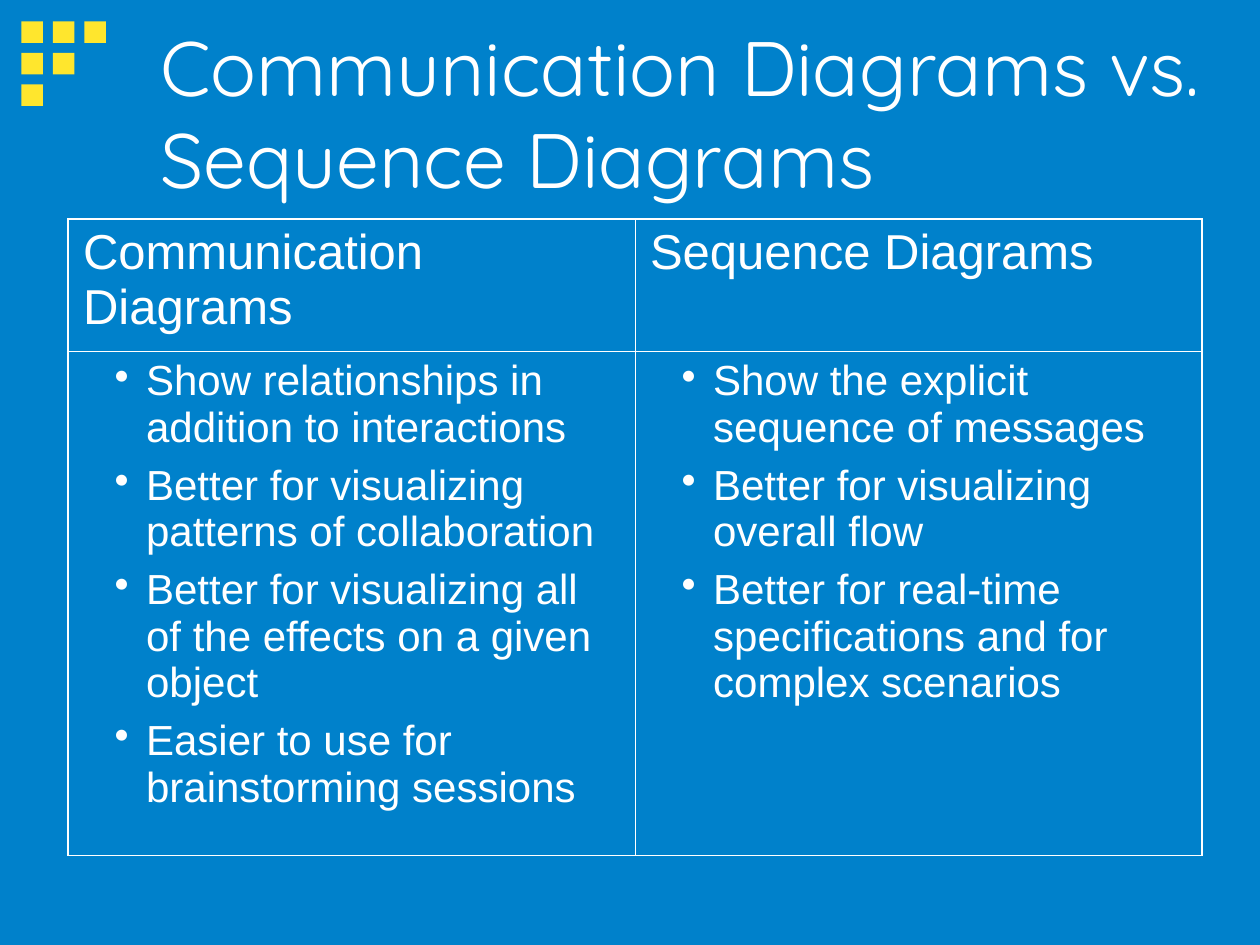
from lxml import etree
from pptx import Presentation
from pptx.dml.color import RGBColor
from pptx.enum.shapes import MSO_SHAPE
from pptx.enum.text import MSO_ANCHOR, MSO_AUTO_SIZE, PP_ALIGN
from pptx.oxml.ns import qn
from pptx.util import Inches, Pt

RECT = MSO_SHAPE.RECTANGLE
MIDDLE = MSO_ANCHOR.MIDDLE
NO_FIT = MSO_AUTO_SIZE.NONE
LEFT = PP_ALIGN.LEFT
BLUE, YELLOW, WHITE, GRAY = "0081CB", "FFE62D", "FFFFFF", "808080"
THICK, THIN = 1.08, 0.45


def color(code):
    return RGBColor.from_string(code)


def add(parent, tag, **attrs):
    """Append an XML child with the given attributes."""
    return etree.SubElement(parent, qn(tag), {k: str(v) for k, v in attrs.items()})


prs = Presentation()
prs.slide_width, prs.slide_height = Inches(10), Inches(7.5)
slide = prs.slides.add_slide(prs.slide_layouts[5])
slide.background.fill.solid()
slide.background.fill.fore_color.rgb = color(BLUE)

# Corner squares, one fewer in each row
for row in range(3):
    for col in range(3 - row):
        square = slide.shapes.add_shape(
            RECT, Inches(0.17 + 0.25 * col), Inches(0.17 + 0.25 * row),
            Inches(0.17), Inches(0.17))
        square.shadow.inherit = False
        square.fill.solid()
        square.fill.fore_color.rgb = color(YELLOW)
        square.line.fill.background()

# Title with a small text shadow
title = slide.shapes.title
title.left, title.top = Inches(1.17), Inches(0.26)
title.width, title.height = Inches(8.5), Inches(1.25)
frame = title.text_frame
frame.text = "Communication Diagrams vs. Sequence Diagrams"
frame.word_wrap = True
frame.auto_size = NO_FIT
frame.vertical_anchor = MIDDLE
frame.paragraphs[0].alignment = LEFT
run = frame.paragraphs[0].runs[0]
run.font.size = Pt(44)
run.font.color.rgb = color(WHITE)
effects = add(run.font._element, "a:effectLst")
shadow = add(effects, "a:outerShdw", dist=Inches(0.03), dir=2700000)
add(shadow, "a:srgbClr", val=GRAY)
run.font.name = "Quicksand"

# Comparison table
heads = ["Communication Diagrams", "Sequence Diagrams"]
points = [
    ["Show relationships in addition to interactions",
     "Better for visualizing patterns of collaboration",
     "Better for visualizing all of the effects on a given object",
     "Easier to use for brainstorming sessions"],
    ["Show the explicit sequence of messages",
     "Better for visualizing overall flow",
     "Better for real-time specifications and for complex scenarios"],
]
table = slide.shapes.add_table(
    2, 2, Inches(0.54), Inches(1.74), Inches(9), Inches(5.05)).table
table.first_row = table.horz_banding = False
table.rows[0].height, table.rows[1].height = Inches(1.05), Inches(4)

for row in range(2):
    for col in range(2):
        cell = table.cell(row, col)
        cell.margin_left = cell.margin_right = Inches(0.12)
        cell.margin_top = cell.margin_bottom = Inches(0.05)
        props = cell._tc.get_or_add_tcPr()
        outer = {"L": col == 0, "R": col == 1, "T": row == 0, "B": row == 1}
        for side, edge in outer.items():
            line = add(props, "a:ln" + side, w=Pt(THICK if edge else THIN))
            add(add(line, "a:solidFill"), "a:srgbClr", val=WHITE)
        cell.fill.background()

        cell.text = heads[col] if row == 0 else "\n".join(points[col])
        for i, para in enumerate(cell.text_frame.paragraphs):
            if row == 1:
                para.level = 1
                if i > 0:
                    para.space_before = Pt(6)
                layout = para._p.get_or_add_pPr()
                layout.set("marL", str(Inches(0.5)))
                layout.set("indent", str(Inches(-0.25)))
                add(layout, "a:buChar", char="•")
            font = para.runs[0].font
            font.name = "Arial"
            font.size = Pt(28 if row == 0 else 24)
            font.color.rgb = color(WHITE)

prs.save("out.pptx")
